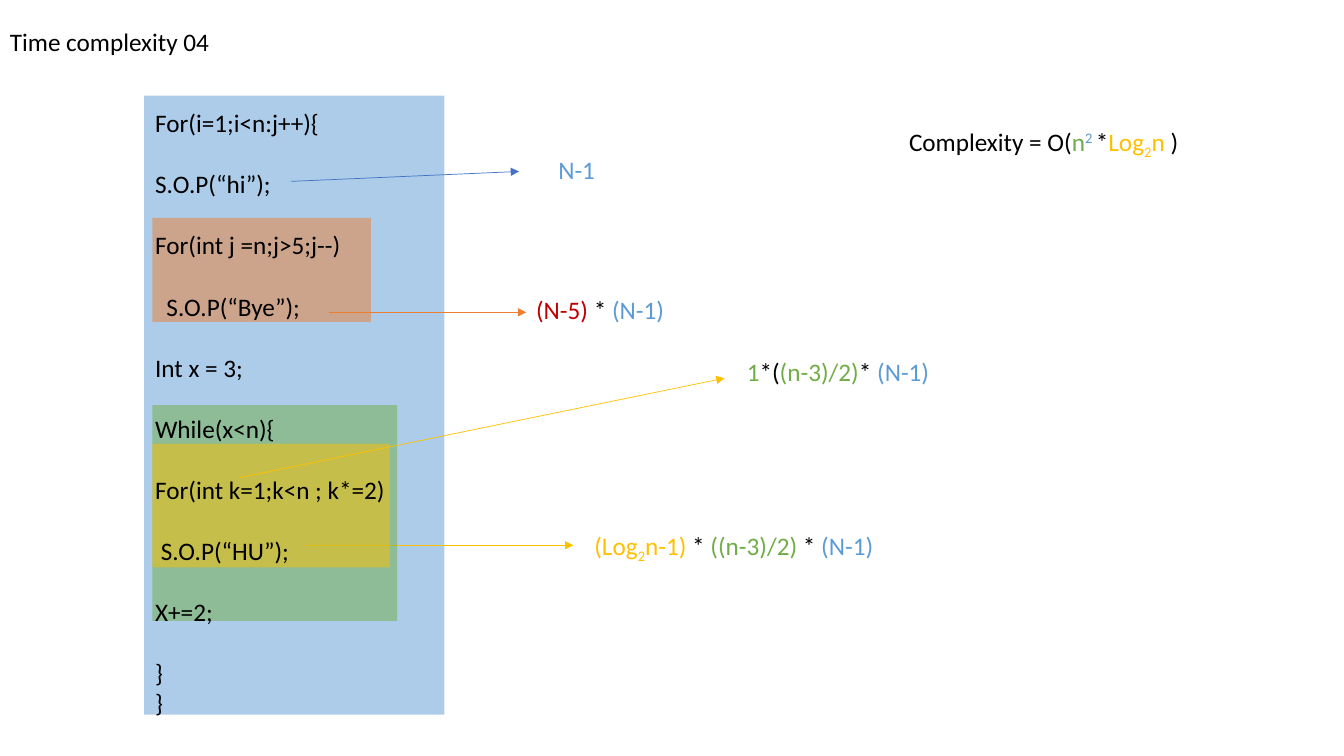
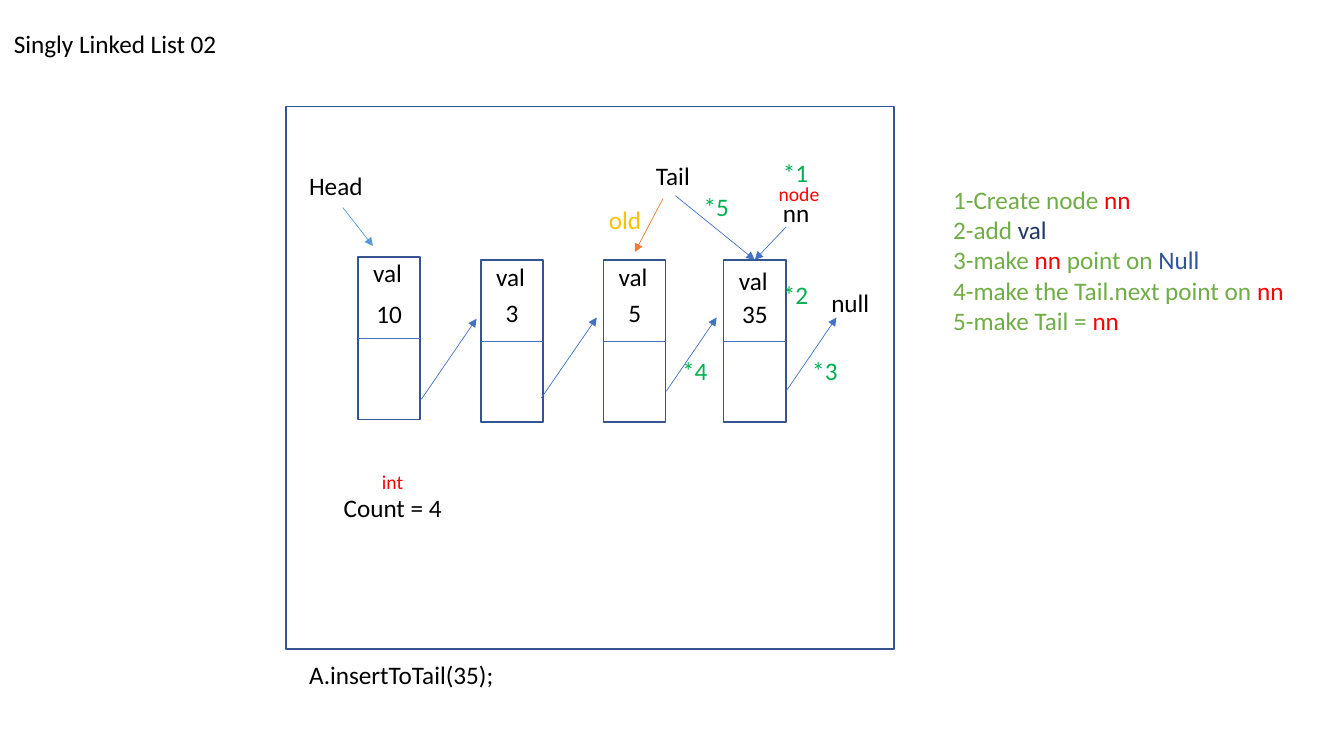
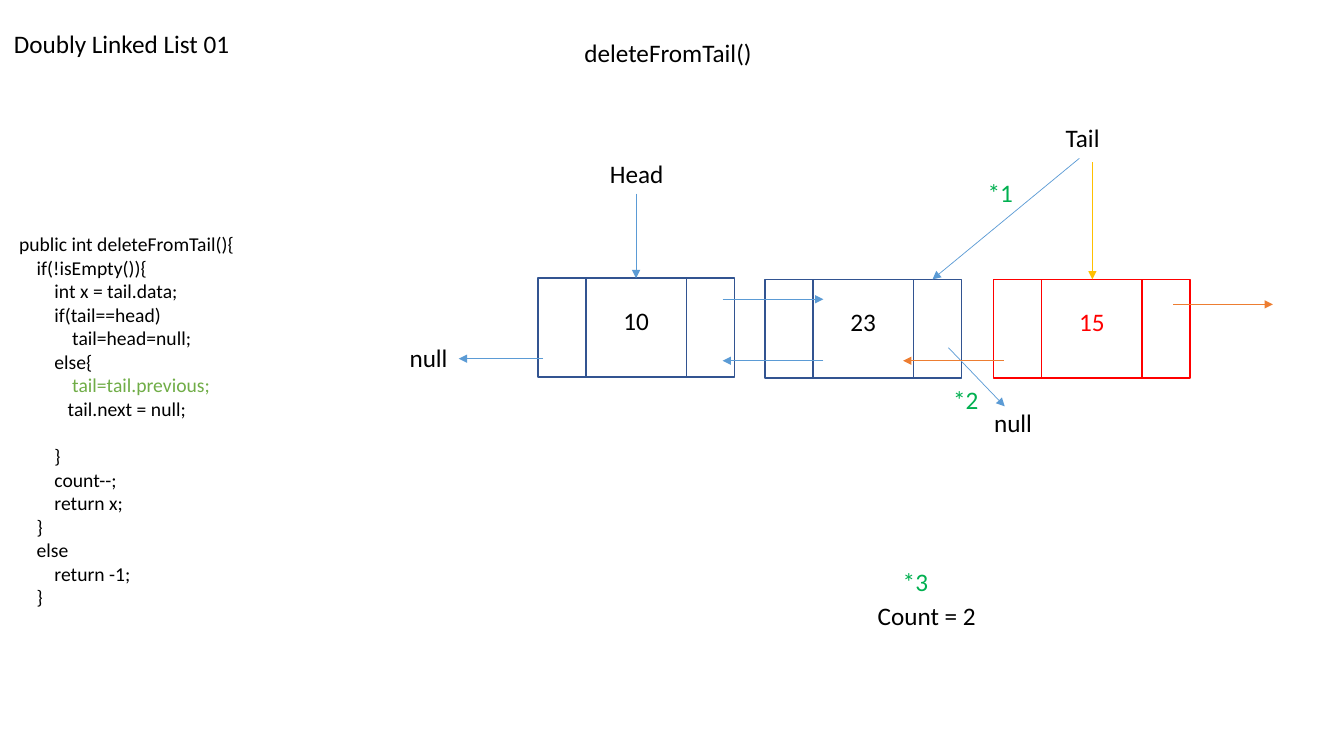
from dataclasses import dataclass
from typing import NamedTuple

from lxml.etree import SubElement as Sub
from pptx import Presentation
from pptx.dml.color import RGBColor as Rgb
from pptx.enum.shapes import MSO_CONNECTOR as Link, MSO_SHAPE as Form
from pptx.enum.text import PP_ALIGN as Align
from pptx.oxml.ns import qn
from pptx.util import Cm, Pt

FONT = "Calibri"
INK = {
    "black": "000000", "white": "FFFFFF", "sky": "5B9BD5", "blue": "4472C4",
    "edge": "325491", "orange": "ED7D31", "gold": "FFC000", "leaf": "70AD47",
    "green": "00B050", "red": "FF0000", "wine": "C00000", "navy": "203864",
    "steel": "2F5597",
}
LEFT, MID, RIGHT = Align.LEFT, Align.CENTER, Align.RIGHT


class Bit(NamedTuple):
    text: str
    ink: str = "black"
    base: int = 0


@dataclass
class Arrow:
    ink: str
    x: float
    y: float
    to_x: float
    to_y: float


@dataclass
class Panel:
    ink: str
    x: float
    y: float
    w: float
    h: float


@dataclass
class Label:
    text: str
    x: float
    y: float
    w: float
    ink: str = "black"
    align: Align = LEFT
    size: int = 18


@dataclass
class Node:
    num: str
    x: float
    y: float
    val_y: float
    num_y: float


@dataclass
class Cell:
    num: str
    x: float
    y: float
    ink: str = "black"
    edge: str = "edge"


def tint(name: str) -> Rgb:
    return Rgb.from_string(INK[name])


def say(slide, lines, x, y, w, h=1.02, size=18, ink="black", align=LEFT, gaps=None) -> None:
    frame = slide.shapes.add_textbox(Cm(x), Cm(y), Cm(w), Cm(h)).text_frame
    frame.word_wrap = True
    for i, line in enumerate(lines):
        para = frame.paragraphs[0] if i == 0 else frame.add_paragraph()
        para.alignment = align
        if gaps and i in gaps:
            para.space_before = Pt(gaps[i])
        for bit in [Bit(line, ink)] if isinstance(line, str) else line:
            run = para.add_run()
            run.text = bit.text
            run.font.name = FONT
            run.font.size = Pt(size)
            run.font.color.rgb = tint(bit.ink)
            if bit.base:
                run.font._element.set("baseline", str(bit.base * 1000))


def mark(slide, labels: list[Label]) -> None:
    for tag in labels:
        say(slide, [tag.text], tag.x, tag.y, tag.w, size=tag.size, ink=tag.ink, align=tag.align)


def star(num: int, x: float, y: float) -> Label:
    return Label(f"*{num}", x, y, 1.27, "green")


def box(slide, x, y, w, h, fill=None, edge=None, alpha=100) -> None:
    rect = slide.shapes.add_shape(Form.RECTANGLE, Cm(x), Cm(y), Cm(w), Cm(h))
    rect.shadow.inherit = False
    if fill:
        rect.fill.solid()
        rect.fill.fore_color.rgb = tint(fill)
        if alpha < 100:
            color = rect._element.spPr.find(".//" + qn("a:srgbClr"))
            Sub(color, qn("a:alpha")).set("val", str(alpha * 1000))
    else:
        rect.fill.background()
    if edge:
        rect.line.color.rgb = tint(edge)
        rect.line.width = Pt(1)
    else:
        rect.line.fill.background()


def rule(slide, x, y, to_x, to_y, ink, head=False) -> None:
    link = slide.shapes.add_connector(Link.STRAIGHT, Cm(x), Cm(y), Cm(to_x), Cm(to_y))
    link.line.color.rgb = tint(ink)
    link.line.width = Pt(0.5)
    props = link._element.spPr
    if head:
        Sub(props.find(qn("a:ln")), qn("a:tailEnd")).set("type", "triangle")
    Sub(props, qn("a:effectLst"))


def point(slide, arrows: list[Arrow]) -> None:
    for a in arrows:
        rule(slide, a.x, a.y, a.to_x, a.to_y, a.ink, head=True)


def start(deck, title: str, x: float = 0.1, y: float = 0.58):
    slide = deck.slides.add_slide(deck.slide_layouts[6])
    say(slide, [title], x, y, 6.81)
    return slide


def draw_node(slide, node: Node) -> None:
    wide, high = 1.57, 4.09
    box(slide, node.x, node.y, wide, high, "white", "edge")
    rule(slide, node.x, node.y + high / 2, node.x + wide, node.y + high / 2, "blue")
    say(slide, ["val"], node.x - 0.04, node.val_y, wide, align=MID)
    say(slide, [node.num], node.x, node.num_y, wide, align=MID)


def draw_cell(slide, cell: Cell) -> None:
    wide, high, core = 4.95, 2.49, 2.54
    inner = cell.x + (wide - core) / 2
    box(slide, cell.x, cell.y, wide, high, edge=cell.edge)
    box(slide, inner, cell.y, core, high, edge=cell.edge)
    say(slide, [cell.num], inner, cell.y + 0.56, core, ink=cell.ink, align=MID)


def loops(deck) -> None:
    slide = start(deck, "Time complexity 04", 0, 0.53)
    outer = Panel("sky", 3.63, 2.41, 7.57, 15.6)
    inner = [
        Panel("orange", 3.84, 5.49, 5.51, 2.62),
        Panel("leaf", 3.84, 10.21, 6.17, 5.44),
        Panel("gold", 3.84, 11.18, 5.99, 3.12),
    ]
    under = [
        Arrow("blue", 7.34, 4.57, 13.08, 4.32),
        Arrow("orange", 8.28, 7.87, 13.26, 7.87),
        Arrow("gold", 7.7, 13.74, 14.45, 13.74),
    ]
    for i, p in enumerate([outer, *inner]):
        box(slide, p.x, p.y, p.w, p.h, p.ink, alpha=50)
        if i == 0:
            point(slide, under)
    code = [
        "For(i=1;i<n:j++){", "S.O.P(“hi”);", "For(int j =n;j>5;j--)",
        "  S.O.P(“Bye”);", "Int x = 3;", "While(x<n){",
        "For(int k=1;k<n ; k*=2)", " S.O.P(“HU”);", "X+=2;", "}", "}",
    ]
    say(slide, code, 3.66, 2.59, 8.26, 15.4, gaps={i: 22 for i in range(1, 10)})
    point(slide, [Arrow("gold", 6.02, 12.04, 18.26, 9.53)])

    times, once = Bit("* "), Bit("(N-1)", "sky")
    say(slide, ["N-1"], 13.82, 3.76, 2.18, ink="sky")
    say(slide, [[Bit("(N-5) ", "wine"), times, once]], 13.26, 7.29, 4.09)
    half = [Bit("1", "leaf"), Bit("*("), Bit("(n-3)/2)", "leaf"), times, once]
    say(slide, [half], 18.57, 8.86, 6.12)
    logs = [Bit("(Log", "gold"), Bit("2", "gold", -25), Bit("n-1) ", "gold"), times,
            Bit("((n-3)/2) ", "leaf"), times, once]
    say(slide, [logs], 14.73, 13.23, 7.7)
    total = [Bit("Complexity = O("), Bit("n", "leaf"), Bit("2 ", "sky", 30), Bit("*"),
             Bit("Log", "gold"), Bit("2", "gold", -25), Bit("n", "gold"), Bit(" )")]
    say(slide, [total], 22.66, 3.05, 8.43)


def single(deck) -> None:
    slide = start(deck, "Singly Linked List 02")
    box(slide, 7.21, 2.69, 15.32, 13.67, edge="edge")
    nodes = [
        Node("10", 9.02, 6.48, 6.35, 7.39),
        Node("3", 12.12, 6.55, 6.45, 7.37),
        Node("5", 15.21, 6.55, 6.45, 7.37),
        Node("35", 18.24, 6.55, 6.55, 7.39),
    ]
    for node in nodes:
        draw_node(slide, node)
    point(slide, [
        Arrow("sky", 8.64, 5.23, 9.4, 6.2),
        Arrow("orange", 16.71, 5, 16, 6.35),
        Arrow("blue", 10.62, 10.06, 12.01, 8.03),
        Arrow("blue", 13.64, 10.03, 15.04, 8),
        Arrow("blue", 16.79, 9.86, 18.06, 8),
        Arrow("blue", 19.81, 9.86, 21.08, 8),
        Arrow("blue", 17.02, 4.93, 19.02, 6.55),
        Arrow("blue", 19.81, 5.72, 19.02, 6.55),
    ])
    mark(slide, [
        Label("Head", 7.54, 4.17, 2.74),
        Label("Tail", 16.28, 3.91, 1.6),
        Label("old", 14.84, 5.03, 1.57, "gold", RIGHT),
        Label("node", 19.13, 4.47, 1.77, "red", RIGHT, 14),
        Label("nn", 19.48, 4.85, 2.74),
        Label("null", 20.7, 7.11, 1.83),
        Label("int", 8.84, 11.71, 1.57, "red", RIGHT, 14),
        Label("Count = 4", 8.41, 12.27, 3.84),
        Label("A.insertToTail(35);", 7.54, 16.48, 5.41),
        star(1, 19.48, 3.84),
        star(2, 19.48, 6.91),
        star(3, 20.22, 8.84),
        star(4, 16.94, 8.84),
        star(5, 17.48, 4.7),
    ])
    new = Bit("nn", "red")
    steps = [
        [Bit("1-Create node ", "leaf"), new],
        [Bit("2-add ", "leaf"), Bit("val", "navy")],
        [Bit("3-make ", "leaf"), new, Bit(" point on ", "leaf"), Bit("Null", "steel")],
        [Bit("4-make the Tail.next point on ", "leaf"), new],
        [Bit("5-make Tail = ", "leaf"), new],
    ]
    say(slide, steps, 23.77, 4.52, 9.27, 4.11)


def double(deck) -> None:
    slide = start(deck, "Doubly Linked List 01")
    cells = [
        Cell("10", 13.56, 7.01),
        Cell("23", 19.28, 7.04),
        Cell("15", 25.04, 7.04, "red", "red"),
    ]
    for cell in cells:
        draw_cell(slide, cell)
    point(slide, [
        Arrow("sky", 18.21, 7.54, 20.75, 7.54),
        Arrow("sky", 20.75, 9.09, 18.21, 9.09),
        Arrow("sky", 23.9, 8.76, 25.32, 10.24),
        Arrow("orange", 25.3, 9.09, 22.76, 9.09),
        Arrow("sky", 16.03, 4.88, 16.03, 7.01),
        Arrow("sky", 13.69, 9.04, 11.56, 9.04),
        Arrow("gold", 27.53, 4.09, 27.53, 7.04),
        Arrow("sky", 27.2, 3.99, 23.5, 7.04),
        Arrow("orange", 29.57, 7.67, 32.08, 7.67),
    ])
    mark(slide, [
        Label("deleteFromTail()", 14.48, 0.81, 5.46),
        Label("Head", 12.65, 3.86, 4.32, align=RIGHT),
        Label("Tail", 26.44, 2.95, 1.52, align=RIGHT),
        Label("null", 9.42, 8.51, 2.11, align=RIGHT),
        Label("null", 23.14, 10.13, 3.12, align=RIGHT),
        Label("Count = 2", 21.87, 15.01, 3.84),
        star(1, 24.64, 4.34),
        star(2, 23.77, 9.55),
        star(3, 22.5, 14.15),
    ])
    code = [
        "public int deleteFromTail(){",
        "    if(!isEmpty()){",
        "        int x = tail.data;",
        "        if(tail==head)",
        "            tail=head=null;",
        "        else{",
        [Bit("            tail=tail.previous;", "leaf")],
        "           tail.next = null;",
        "        }",
        "        count--;",
        "        return x;",
        "    }",
        "    else",
        "        return -1;",
        "    }",
    ]
    say(slide, code, 0.23, 5.72, 7.06, 9.83, size=14, gaps={8: 17})


def main() -> None:
    deck = Presentation()
    deck.slide_width, deck.slide_height = Cm(33.87), Cm(19.05)
    for build in (loops, single, double):
        build(deck)
    deck.save("out.pptx")


if __name__ == "__main__":
    main()
